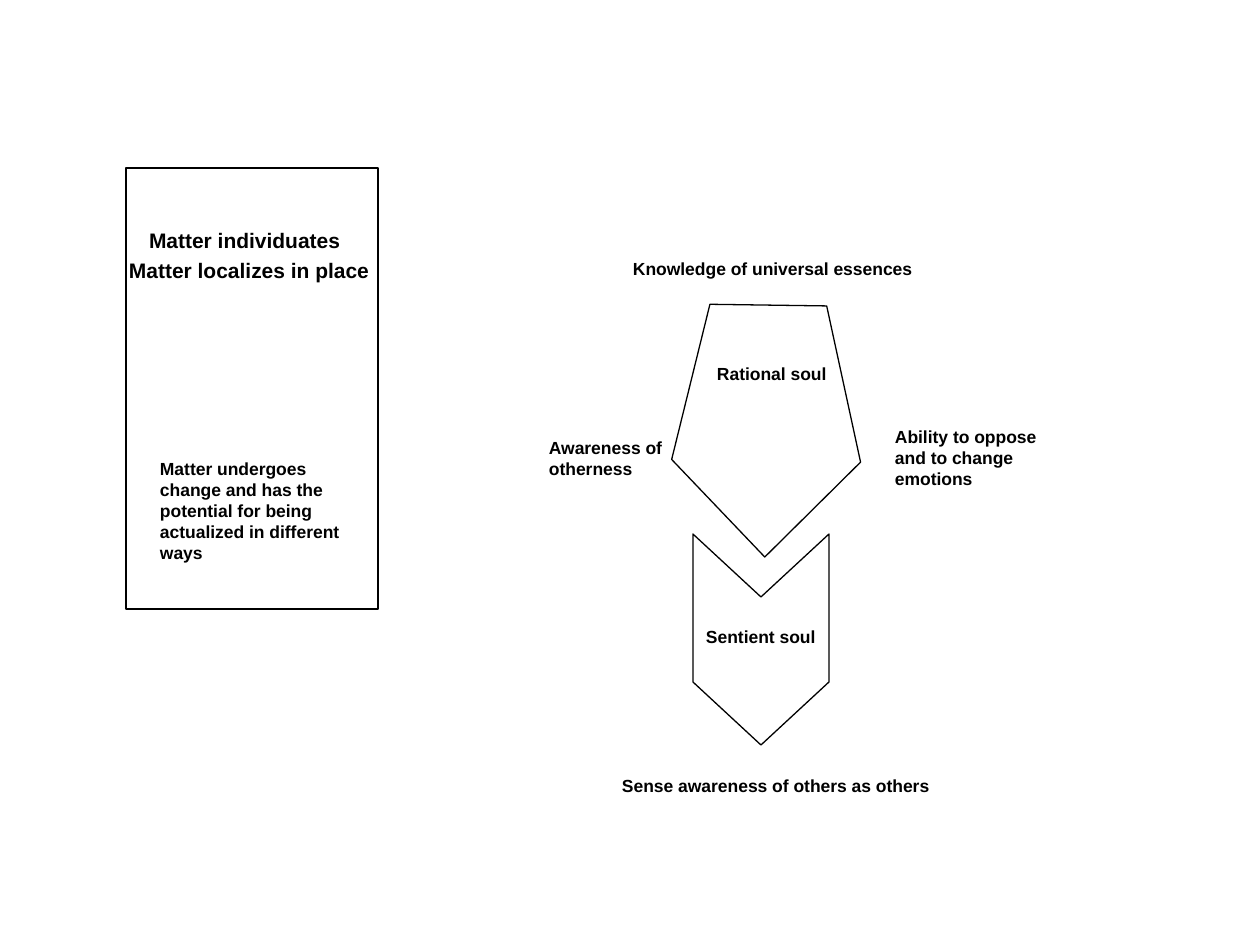
from pptx import Presentation
from pptx.dml.color import RGBColor
from pptx.enum.shapes import MSO_SHAPE
from pptx.enum.text import MSO_AUTO_SIZE
from pptx.util import Emu, Pt

RECTANGLE = MSO_SHAPE.RECTANGLE
PENTAGON = MSO_SHAPE.REGULAR_PENTAGON
GROW = MSO_AUTO_SIZE.SHAPE_TO_FIT_TEXT

PX = 914400 // 126
COLORS = {"ink": "000000"}
LABEL_FONT = {"name": "Arial", "bold": True}
FRAME = {
    "word_wrap": True,
    "auto_size": GROW,
    "margin_left": Emu(13 * PX),
    "margin_right": Emu(13 * PX),
    "margin_top": Emu(6 * PX),
    "margin_bottom": Emu(6 * PX),
}

MATTER_LABELS = [
    ("Matter individuates", 136, 222, 451, 38, 12),
    ("Matter localizes in place", 116, 252, 388, 38, 12),
    ("Matter undergoes change and has the potential for being "
     "actualized in different ways", 147, 452, 231, 118, 10),
]
SOUL_LABELS = [
    ("Knowledge of universal essences", 620, 252, 388, 34, 10),
    ("Rational soul", 704, 357, 147, 34, 10),
    ("Awareness of otherness", 536, 431, 178, 55, 10),
    ("Ability to oppose and to change emotions", 882, 420, 189, 76, 10),
    ("Sentient soul", 693, 620, 147, 34, 10),
    ("Sense awareness of others as others", 609, 769, 420, 34, 10),
]
SENTIENT_OUTLINE = [
    (693, 534), (693, 682), (761, 745), (829, 682), (829, 534), (761, 597),
]


def apply(target, values):
    for name, value in values.items():
        setattr(target, name, value)


def px(*lengths):
    return [Emu(length * PX) for length in lengths]


def style_outline(shape):
    shape.shadow.inherit = False
    shape.fill.background()
    shape.line.color.rgb = RGBColor.from_string(COLORS["ink"])
    shape.line.width = Pt(0.75)


def add_outline(page, kind, left, top, width, height, rotation=0):
    shape = page.shapes.add_shape(kind, *px(left, top, width, height))
    shape.rotation = rotation
    style_outline(shape)


def add_polygon(page, points):
    builder = page.shapes.build_freeform(*points[0], scale=PX)
    builder.add_line_segments(points[1:], close=True)
    style_outline(builder.convert_to_shape())


def add_label(page, text, left, top, width, height, size):
    box = page.shapes.add_textbox(*px(left, top, width, height))
    apply(box.text_frame, FRAME)
    para = box.text_frame.paragraphs[0]
    span = para.add_run()
    span.text = text
    apply(span.font, LABEL_FONT)
    span.font.size = Pt(size)
    span.font.color.rgb = RGBColor.from_string(COLORS["ink"])


def main():
    deck = Presentation()
    deck.slide_width, deck.slide_height = px(1260, 945)
    page = deck.slides.add_slide(deck.slide_layouts[6])
    add_outline(page, RECTANGLE, 126, 168, 252, 441)
    add_polygon(page, SENTIENT_OUTLINE)
    add_outline(page, PENTAGON, 672, 305, 189, 252, rotation=180.8)
    for label in MATTER_LABELS + SOUL_LABELS:
        add_label(page, *label)
    deck.save("out.pptx")


if __name__ == "__main__":
    main()
